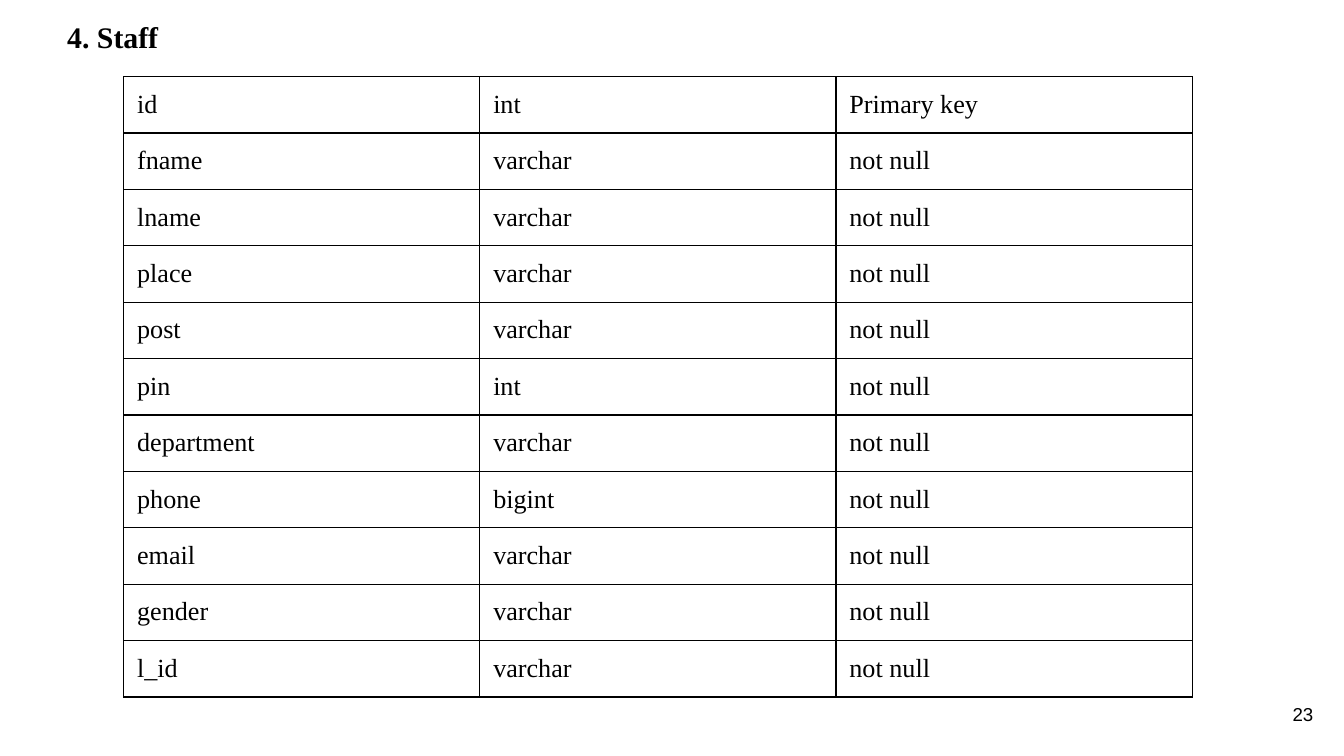
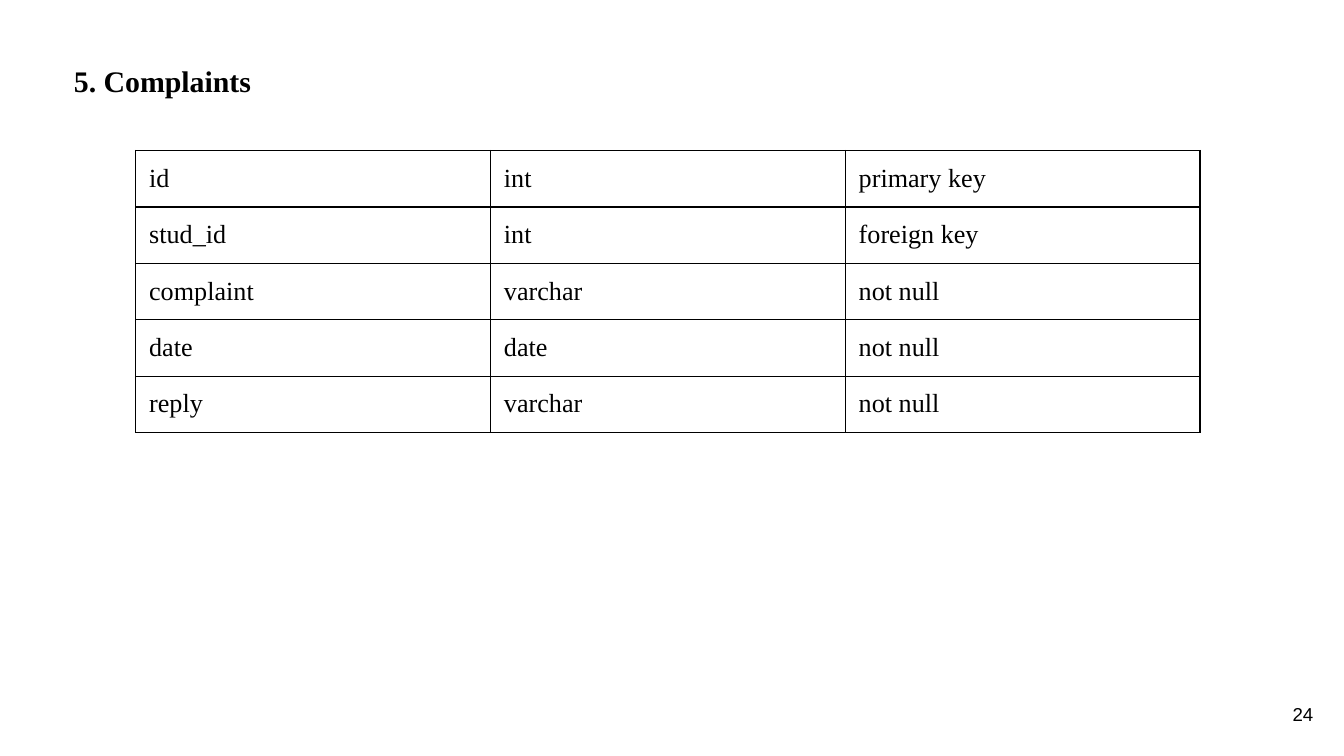
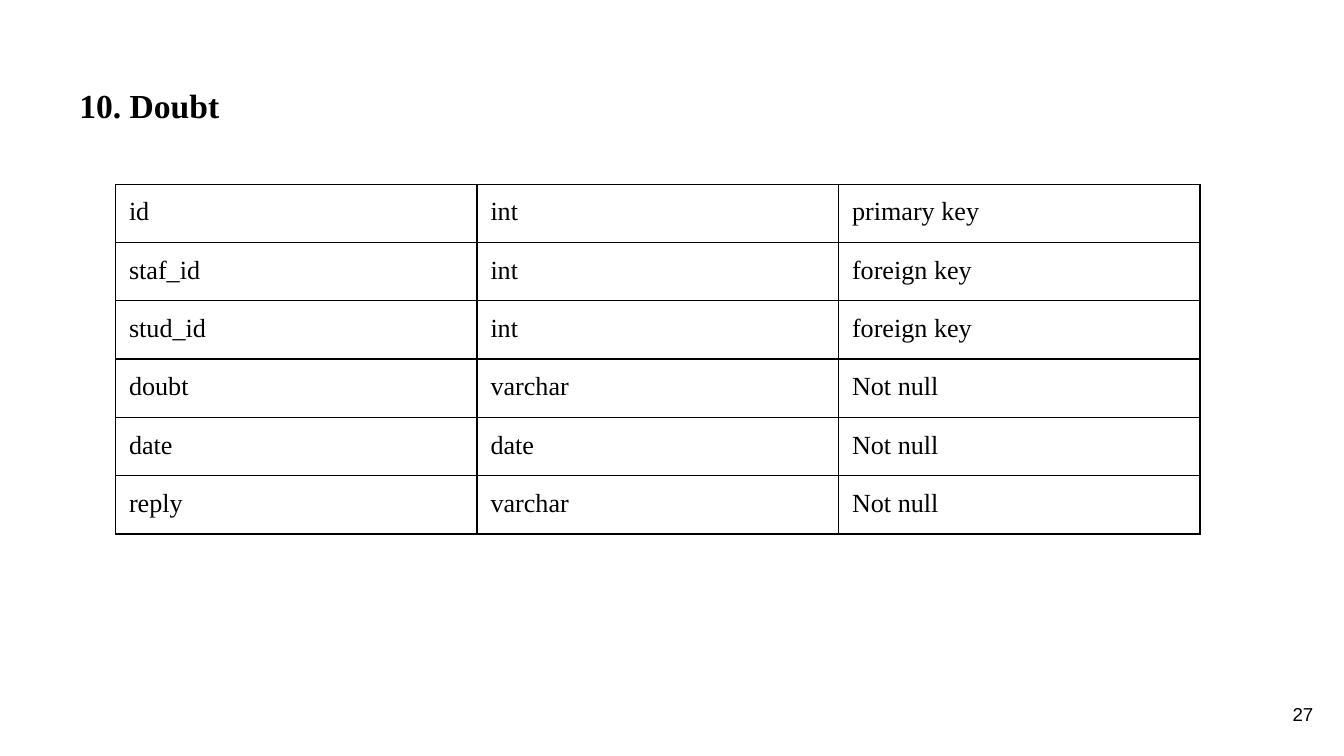
"""Builds three slides that each describe one database table."""
from lxml import etree
from pptx import Presentation
from pptx import util as u
from pptx.dml.color import RGBColor
from pptx.enum import text
from pptx.oxml.ns import qn

SLIDE_W = u.Inches(10)
SLIDE_H = SLIDE_W * 9 // 16
COLORS = {"ink": "000000", "paper": "FFFFFF"}
SERIF, SANS = "Times New Roman", "Arial"
INSET = 0.1
BORDER_PT = 0.75
TITLE_H = 0.5
PAGE_BOX = (9.27, 5.1, 0.6, 0.43)

ENTITIES = [
    {
        "title": "4. Staff", "title_at": (0.4, 0), "title_w": 9.26,
        "title_pt": 16, "title_spacing": 1.15, "page": "23",
        "grid_at": (0.92, 0.57), "column": 2.65, "row": 0.42, "cell_bottom": 0.08,
        "fields": [
            ("id", "int", "Primary key"),
            ("fname", "varchar", "not null"),
            ("lname", "varchar", "not null"),
            ("place", "varchar", "not null"),
            ("post", "varchar", "not null"),
            ("pin", "int", "not null"),
            ("department", "varchar", "not null"),
            ("phone", "bigint", "not null"),
            ("email", "varchar", "not null"),
            ("gender", "varchar", "not null"),
            ("l_id", "varchar", "not null"),
        ],
    },
    {
        "title": "5. Complaints", "title_at": (0.45, 0.33), "title_w": 9.21,
        "title_pt": 16, "title_spacing": 1.15, "page": "24",
        "grid_at": (1.01, 1.12), "column": 2.64, "row": 0.42, "cell_bottom": 0.08,
        "fields": [
            ("id", "int", "primary key"),
            ("stud_id", "int", "foreign key"),
            ("complaint", "varchar", "not null"),
            ("date", "date", "not null"),
            ("reply", "varchar", "not null"),
        ],
    },
    {
        "title": "10. Doubt", "title_at": (0.49, 0.53), "title_w": 4.16,
        "title_pt": 18, "title_spacing": 1.0, "page": "27",
        "grid_at": (0.86, 1.37), "column": 2.69, "row": 0.43, "cell_bottom": INSET,
        "fields": [
            ("id", "int", "primary key"),
            ("staf_id", "int", "foreign key"),
            ("stud_id", "int", "foreign key"),
            ("doubt", "varchar", "Not null"),
            ("date", "date", "Not null"),
            ("reply", "varchar", "Not null"),
        ],
    },
]


def write(frame, words, font, size, bold=False, align=text.PP_ALIGN.LEFT):
    frame.text = words
    frame.word_wrap = True
    paragraph = frame.paragraphs[0]
    paragraph.alignment = align
    style = paragraph.runs[0].font
    style.name, style.size, style.bold = font, u.Pt(size), bold
    style.color.rgb = RGBColor.from_string(COLORS["ink"])
    return paragraph


def set_margins(holder, bottom=INSET):
    holder.margin_left = holder.margin_right = holder.margin_top = u.Inches(INSET)
    holder.margin_bottom = u.Inches(bottom)


def add_title(slide, entity):
    title = slide.shapes.title
    title.left, title.top = (u.Inches(v) for v in entity["title_at"])
    title.width, title.height = u.Inches(entity["title_w"]), u.Inches(TITLE_H)
    frame = title.text_frame
    set_margins(frame)
    frame.auto_size = text.MSO_AUTO_SIZE.NONE
    frame.vertical_anchor = text.MSO_ANCHOR.TOP
    heading = write(frame, entity["title"], SERIF, entity["title_pt"], bold=True)
    heading.line_spacing = entity["title_spacing"]
    heading.space_before = u.Pt(0)


def add_page_number(slide, page):
    frame = slide.shapes.add_textbox(*(u.Inches(v) for v in PAGE_BOX)).text_frame
    set_margins(frame)
    frame.vertical_anchor = text.MSO_ANCHOR.MIDDLE
    write(frame, page, SANS, 10, align=text.PP_ALIGN.RIGHT)


def draw_borders(cell):
    properties = cell._tc.get_or_add_tcPr()
    for place, side in enumerate(("a:lnL", "a:lnR", "a:lnT", "a:lnB")):
        line = etree.Element(qn(side), w=str(u.Pt(BORDER_PT)))
        fill = etree.SubElement(line, qn("a:solidFill"))
        etree.SubElement(fill, qn("a:srgbClr"), val=COLORS["ink"])
        properties.insert(place, line)


def add_fields(slide, entity):
    fields = entity["fields"]
    rows, columns = len(fields), len(fields[0])
    size = (columns * entity["column"], rows * entity["row"])
    box = (u.Inches(v) for v in entity["grid_at"] + size)
    grid = slide.shapes.add_table(rows, columns, *box).table
    grid.first_row = grid.horz_banding = False
    for column in grid.columns:
        column.width = u.Inches(entity["column"])
    for row, field in zip(grid.rows, fields):
        row.height = u.Inches(entity["row"])
        for cell, words in zip(row.cells, field):
            set_margins(cell, entity["cell_bottom"])
            cell.fill.background()
            write(cell.text_frame, words, SERIF, 14)
            draw_borders(cell)


def main():
    deck = Presentation()
    deck.slide_width, deck.slide_height = SLIDE_W, SLIDE_H
    paper = deck.slide_master.background.fill
    paper.solid()
    paper.fore_color.rgb = RGBColor.from_string(COLORS["paper"])
    title_only = deck.slide_layouts.get_by_name("Title Only")
    for entity in ENTITIES:
        slide = deck.slides.add_slide(title_only)
        add_title(slide, entity)
        add_page_number(slide, entity["page"])
        add_fields(slide, entity)
    deck.save("out.pptx")


if __name__ == "__main__":
    main()
